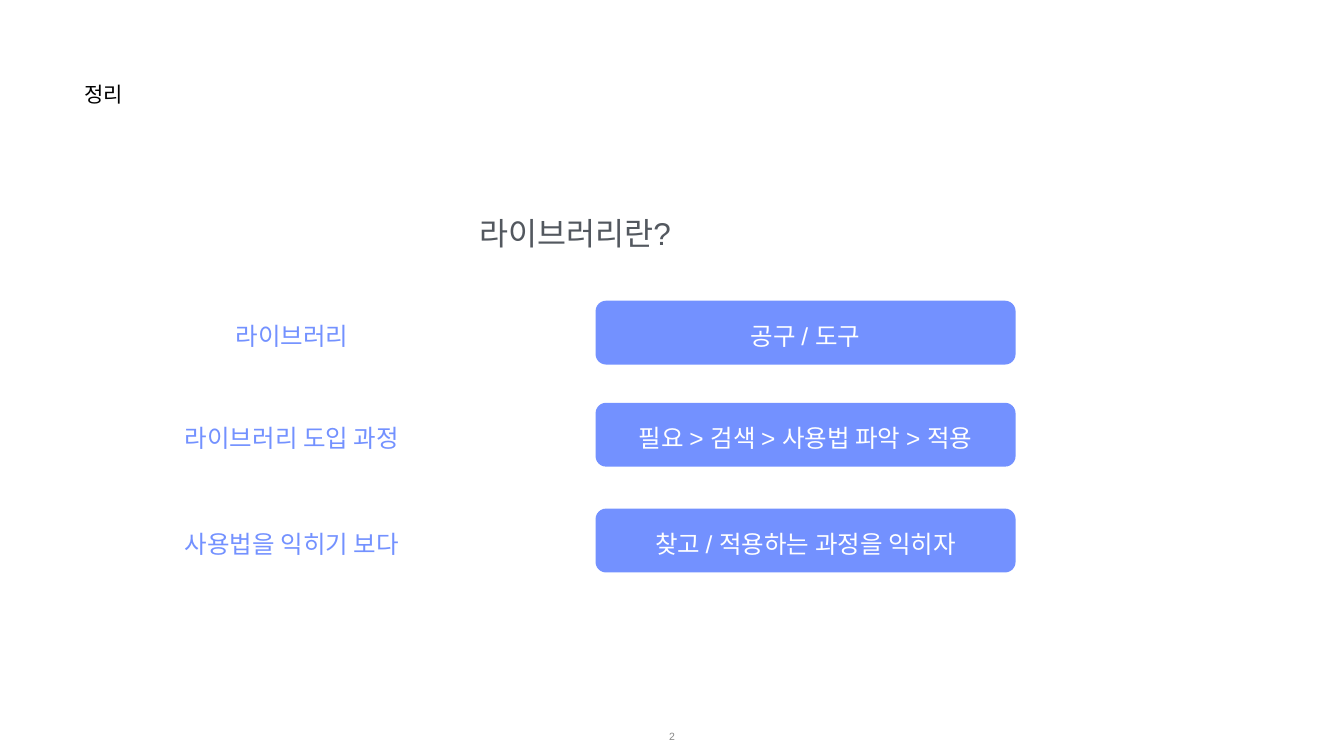
"""Build the summary slide about what a library is."""
from dataclasses import dataclass

from pptx import Presentation
from pptx.dml.color import RGBColor
from pptx.enum.shapes import MSO_SHAPE
from pptx.enum.text import MSO_ANCHOR, PP_ALIGN
from pptx.util import Inches, Pt

ROUND = MSO_SHAPE.ROUNDED_RECTANGLE
TOP, MID = MSO_ANCHOR.TOP, MSO_ANCHOR.MIDDLE
LEFT, CENTER = PP_ALIGN.LEFT, PP_ALIGN.CENTER
COLS, ROWS = 32, 18


@dataclass(frozen=True)
class Theme:
    """Colours, type sizes and font of the slide."""
    font: str = "Arial"
    ink: str = "000000"
    gray: str = "53585F"
    pale: str = "888888"
    blue: str = "7391FF"
    white: str = "FFFFFF"
    title: int = 30
    head: int = 45
    item: int = 35
    page: int = 15


class Deck:
    """Holds the theme and the current slide, measured on a grid."""

    def __init__(self, theme):
        """Open a blank title slide."""
        self.theme = theme
        self.file = Presentation()
        self.file.slide_width = Inches(26.66)
        self.file.slide_height = Inches(15)
        self.slide = self.file.slides.add_slide(self.file.slide_layouts[5])

    def area(self, col, row, wide, high):
        """Turn grid units into slide lengths."""
        unit_x = self.file.slide_width / COLS
        unit_y = self.file.slide_height / ROWS
        return (int(col * unit_x), int(row * unit_y),
                int(wide * unit_x), int(high * unit_y))

    def style(self, shape, text, size, color, align=CENTER, anchor=MID, drop=0.01):
        """Put one styled paragraph into a shape."""
        frame = shape.text_frame
        frame.text = text
        frame.word_wrap = True
        frame.vertical_anchor = anchor
        frame.margin_left = frame.margin_right = frame.margin_bottom = Inches(0.01)
        frame.margin_top = Inches(drop)
        line = frame.paragraphs[0]
        line.alignment = align
        line.font.name = self.theme.font
        line.font.size = Pt(size)
        line.font.color.rgb = RGBColor.from_string(color)

    def title(self, text, *area):
        """Place the slide title."""
        shape = self.slide.shapes.title
        shape.left, shape.top, shape.width, shape.height = self.area(*area)
        self.style(shape, text, self.theme.title, self.theme.ink, LEFT, TOP)

    def label(self, text, size, color, *area, anchor=MID):
        """Add a centred text box."""
        shape = self.slide.shapes.add_textbox(*self.area(*area))
        self.style(shape, text, size, color, anchor=anchor)

    def card(self, text, *area):
        """Add a rounded card with text."""
        shape = self.slide.shapes.add_shape(ROUND, *self.area(*area))
        shape.adjustments[0] = 0.164
        shape.shadow.inherit = False
        shape.fill.solid()
        shape.fill.fore_color.rgb = RGBColor.from_string(self.theme.blue)
        shape.line.fill.background()
        self.style(shape, text, self.theme.item, self.theme.white, drop=0.12)


def main():
    """Fill the slide and save it."""
    theme = Theme()
    deck = Deck(theme)
    deck.title("정리", 2, 1.92, 5.83, 1.42)
    deck.label("라이브러리란?", theme.head, theme.gray,
               3.17, 5.09, 21.05, 0.95, anchor=TOP)
    pairs = [
        (7.16, "라이브러리", "공구 / 도구"),
        (9.59, "라이브러리 도입 과정", "필요 > 검색 > 사용법 파악 > 적용"),
        (12.11, "사용법을 익히기 보다", "찾고 / 적용하는 과정을 익히자"),
    ]
    for row, term, note in pairs:
        deck.label(term, theme.item, theme.blue, 3.2, row + 0.46, 7.5, 0.74)
        deck.card(note, 14.18, row, 10, 1.52)
    deck.label("2", theme.page, theme.pale, 12.4, 17.05, 7.2, 0.95)
    deck.file.save("out.pptx")


if __name__ == "__main__":
    main()
